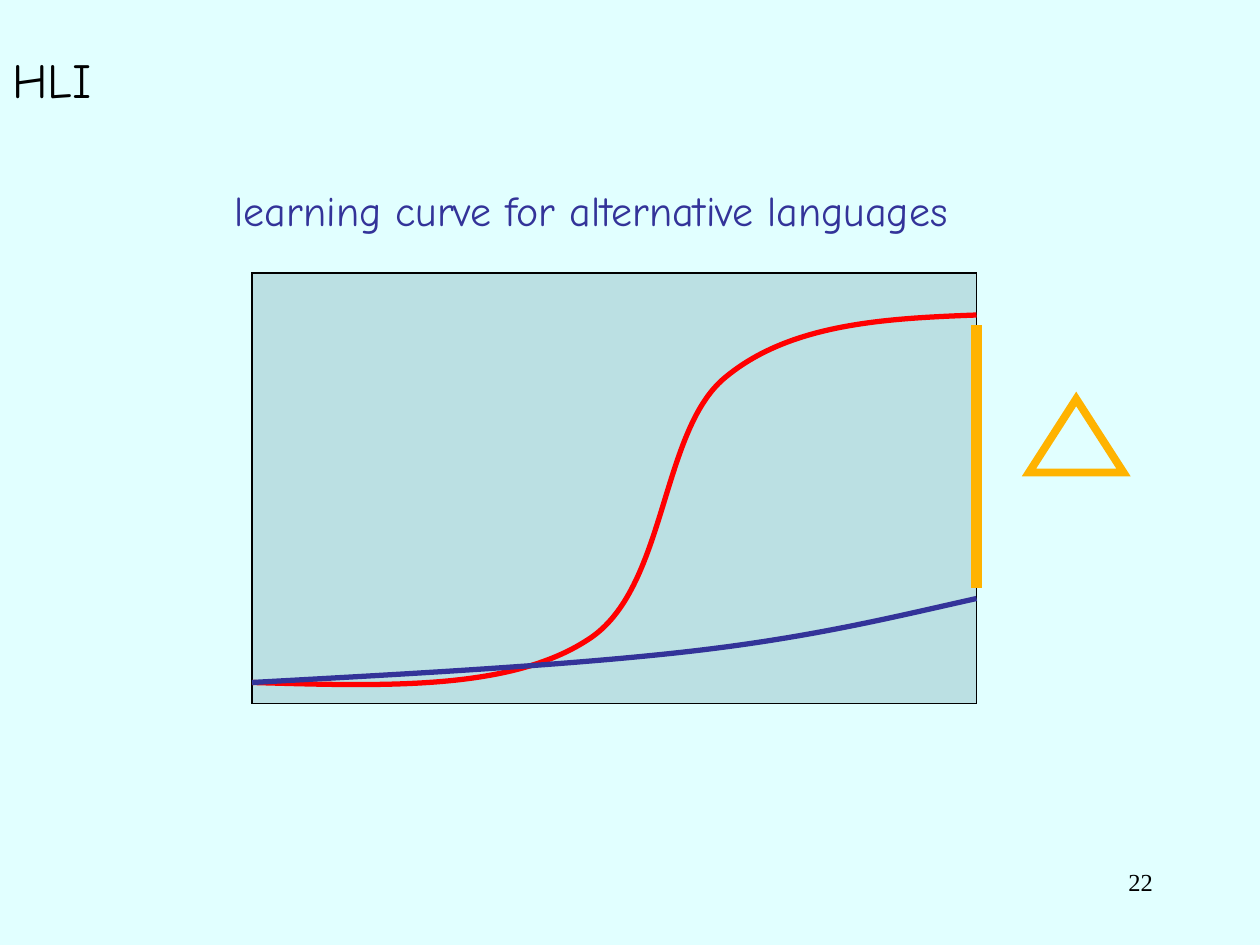
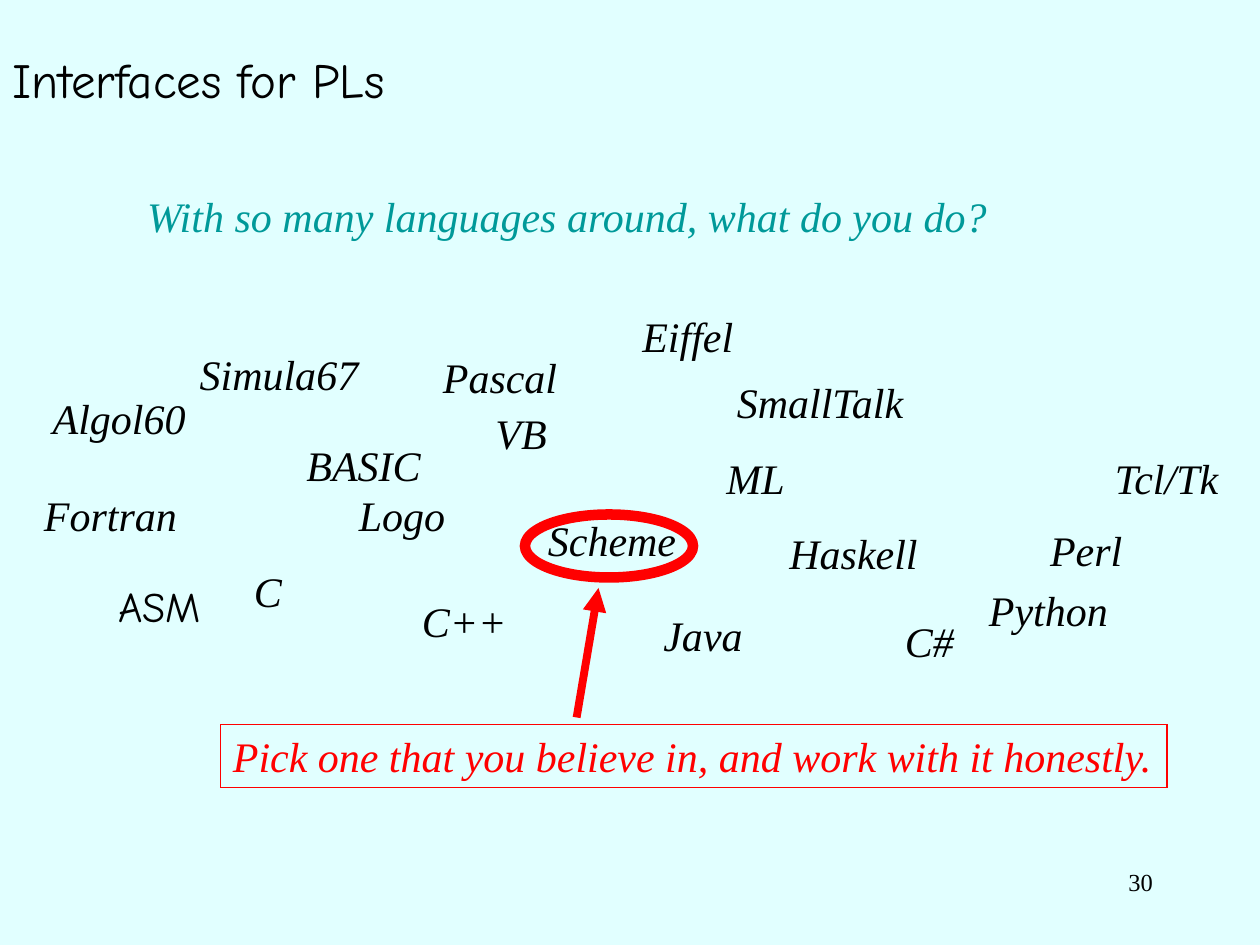
from lxml.etree import SubElement
from pptx import Presentation
from pptx.dml.color import RGBColor
from pptx.enum.shapes import MSO_CONNECTOR as Connector, MSO_SHAPE as Shape
from pptx.enum.text import MSO_ANCHOR as Anchor, MSO_AUTO_SIZE as AutoSize, PP_ALIGN as Align
from pptx.oxml.ns import qn
from pptx.util import Pt

COLORS = {
    "page": "E1FFFF", "ink": "000000", "plot": "BBE0E3", "steep": "FF0000",
    "gentle": "333399", "gap": "FFB300", "question": "009999", "advice": "FF0000",
}
HAND = "Comic Neue"
SERIF = "Times New Roman"

# Bezier control points, relative to the plot
STEEP_CURVE = [(0, 234), (73.5, 236), (147, 239), (192, 209.5), (237, 181),
               (233, 91), (270, 60), (307, 29), (361, 26), (414, 24)]
GENTLE_CURVE = [(0, 234), (91.5, 229), (183, 224), (252, 216),
                (321, 208), (367, 196.5), (414, 186)]

# Name, left, top and width, relative to the cloud
LANGUAGES = [
    ("Eiffel", 342, 0, 78), ("Pascal", 228, 23.5, 82), ("Scheme", 288, 116.5, 90),
    ("ML", 390, 81, 50), ("Haskell", 426, 124, 90), ("C++", 216, 163, 66),
    ("Java", 354, 171, 62), ("C#", 492, 174, 45), ("BASIC", 150, 73.5, 82),
    ("VB", 258, 55.5, 46), ("Logo", 180, 102, 66), ("SmallTalk", 396, 37.5, 114),
    ("Python", 540, 156.5, 85), ("Tcl/Tk", 612, 81, 78), ("C", 120, 145.5, 32),
    ("Algol60", 5, 46.5, 93), ("Fortran", 0, 102, 93), ("Simula67", 89, 21.5, 108),
    ("Perl", 575, 122, 58),
]


def rgb(name):
    return RGBColor.from_string(COLORS[name])


def write(shape, text, size=24, font=SERIF, color="ink", italic=False,
          align=Align.LEFT, anchor=Anchor.TOP, wrap=False):
    frame = shape.text_frame
    frame.word_wrap = wrap
    frame.auto_size = AutoSize.NONE if wrap else AutoSize.SHAPE_TO_FIT_TEXT
    frame.vertical_anchor = anchor
    para = frame.paragraphs[0]
    para.text = text
    para.alignment = align
    para.font.size = Pt(size)
    para.font.name = font
    para.font.italic = italic
    para.font.color.rgb = rgb(color)


def add_text(page, box, text, **style):
    write(page.shapes.add_textbox(*map(Pt, box)), text, **style)


def set_line(shape, color, width):
    shape.line.color.rgb = rgb(color)
    shape.line.width = Pt(width)


def add_outline(page, kind, box, color, width):
    """Add an unfilled preset shape with sharp corners."""
    shape = page.shapes.add_shape(kind, *map(Pt, box))
    shape.shadow.inherit = False
    shape.fill.background()
    set_line(shape, color, width)
    SubElement(shape.line._get_or_add_ln(), qn("a:miter"), lim="800000")
    return shape


def add_line(page, start, end, color, width, arrow=False):
    line = page.shapes.add_connector(Connector.STRAIGHT, *map(Pt, start + end))
    set_line(line, color, width)
    if arrow:
        SubElement(line.line._get_or_add_ln(), qn("a:tailEnd"), type="triangle")
    SubElement(line._element.spPr, qn("a:effectLst"))


def add_curve(page, left, top, controls, color):
    """Draw the control polygon, then turn each three sides into a Bezier segment."""
    points = [(Pt(left + x), Pt(top + y)) for x, y in controls]
    builder = page.shapes.build_freeform(*points[0])
    builder.add_line_segments(points[1:], close=False)
    curve = builder.convert_to_shape()
    outline = next(curve._element.iter(qn("a:path")))
    sides = outline.findall(qn("a:lnTo"))
    for first in range(0, len(sides), 3):
        segment = SubElement(outline, qn("a:cubicBezTo"))
        for side in sides[first:first + 3]:
            segment.append(side[0])
            outline.remove(side)
    curve.shadow.inherit = False
    curve.fill.background()
    set_line(curve, color, 3)


def add_page(deck, title, number):
    page = deck.slides.add_slide(deck.slide_layouts[6])
    page.background.fill.solid()
    page.background.fill.fore_color.rgb = rgb("page")
    add_text(page, (0, 0, 612, 90), title, size=28, font=HAND,
             anchor=Anchor.MIDDLE, wrap=True)
    add_text(page, (516, 492, 150, 36), number, size=14, align=Align.RIGHT, wrap=True)
    return page


def add_learning_plot(page, box):
    left, top, width, height = box
    plot = add_outline(page, Shape.RECTANGLE, box, "ink", 0.75)
    plot.fill.solid()
    plot.fill.fore_color.rgb = rgb("plot")
    add_curve(page, left, top, STEEP_CURVE, "steep")
    add_text(page, (left - 17, top - 54, 466, 36),
             "learning curve for alternative languages", font=HAND, color="gentle")
    add_curve(page, left, top, GENTLE_CURVE, "gentle")
    right = left + width
    add_line(page, (right, top + 30), (right, top + 180), "gap", 6)
    add_outline(page, Shape.ISOSCELES_TRIANGLE, (right + 30, top + 72, 54, 42), "gap", 4.5)


def add_language_cloud(page, left, top):
    for name, x, y, width in LANGUAGES:
        add_text(page, (left + x, top + y, width, 36), name, italic=True)
    add_text(page, (left + 42.5, top + 154, 67, 36), "ASM", font=HAND)


def add_advice(page, box):
    """Add the boxed advice with its arrow up to the circled language."""
    left, top = box[:2]
    advice = add_outline(page, Shape.RECTANGLE, box, "advice", 1)
    write(advice, "Pick one that you believe in, and work with it honestly.",
          color="advice", italic=True)
    add_outline(page, Shape.OVAL, (left + 174, top - 120, 96, 36), "advice", 6)
    add_line(page, (left + 203.5, top - 4), (left + 216, top - 78), "advice", 4.5, arrow=True)


def main():
    deck = Presentation()
    deck.slide_width, deck.slide_height = Pt(720), Pt(540)

    page = add_page(deck, "HLI", "22")
    add_learning_plot(page, (144, 156, 414, 246))

    page = add_page(deck, "Interfaces for PLs", "30")
    add_language_cloud(page, 18, 174)
    add_text(page, (77, 105.5, 498, 36), "With so many languages around, what do you do?",
             color="question", italic=True)
    add_advice(page, (126, 414, 541, 36))

    deck.save("out.pptx")


if __name__ == "__main__":
    main()
